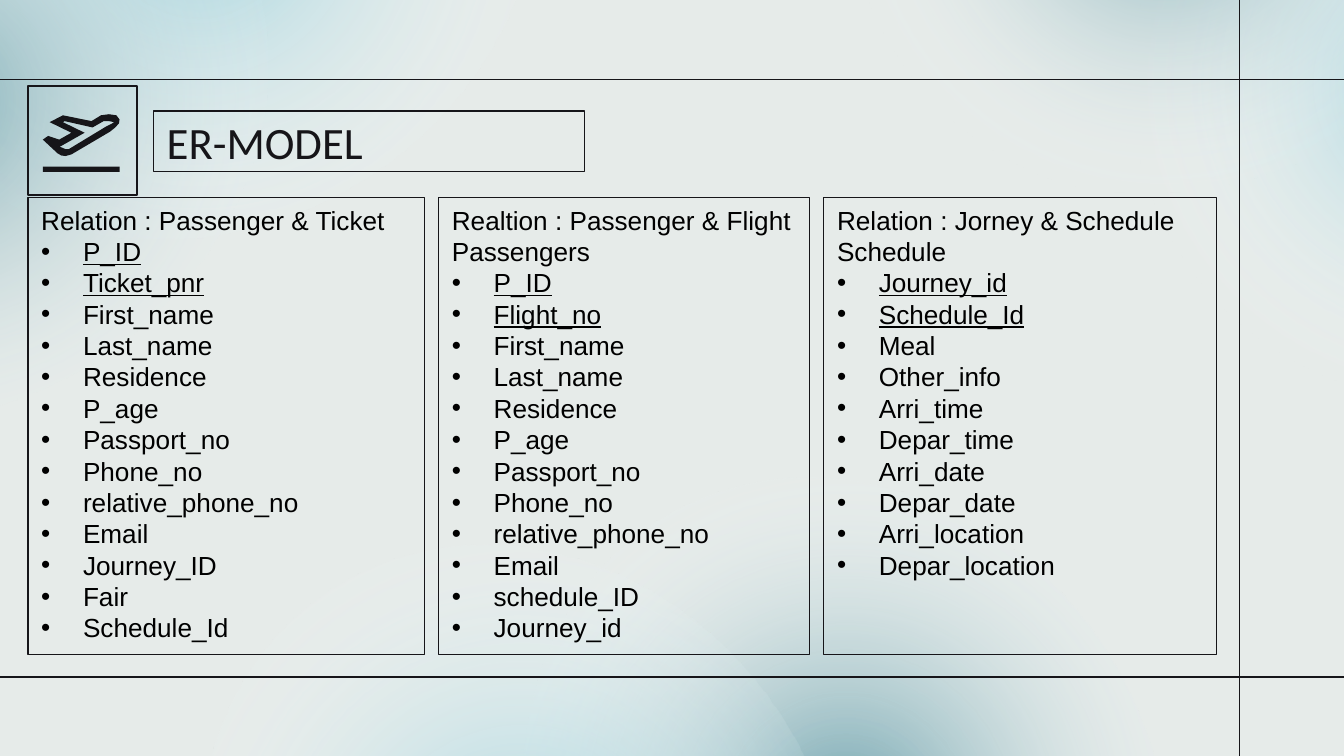
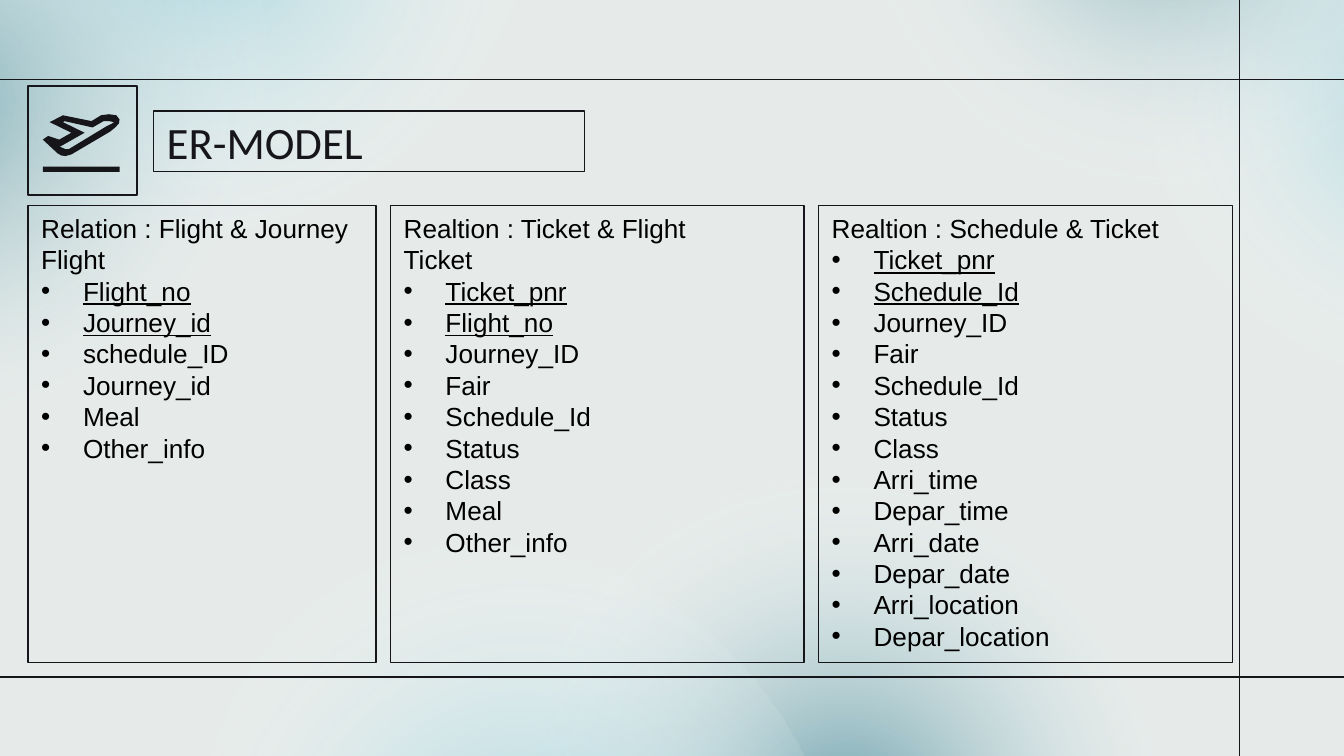
from lxml import etree
from pptx import Presentation, util as u
from pptx.dml.color import RGBColor
from pptx.enum import shapes, text
from pptx.oxml import parse_xml
from pptx.oxml.ns import nsdecls, qn

COLORS = {"paper": "E6EBE9", "ink": "161519", "text": "000000",
          "teal": "4E909E", "sky": "80C8D8", "clear": "FFFFFF"}

TITLE = "ER-MODEL"
PERSON = ["First_name", "Last_name", "Residence", "P_age", "Passport_no",
          "Phone_no", "relative_phone_no", "Email"]
TICKET = ["Journey_ID", "Fair", "Schedule_Id"]
STATUS = ["Status", "Class"]
EXTRAS = ["Meal", "Other_info"]
TIMES = ["Arri_time", "Depar_time", "Arri_date", "Depar_date",
         "Arri_location", "Depar_location"]

# Each relation: width in cm, heading lines, key fields, other fields
SLIDES = [
    {"top": 3.73, "relations": [
        (7.49, ["Relation : Passenger & Ticket"],
         ["P_ID", "Ticket_pnr"], PERSON + TICKET),
        (7.01, ["Realtion : Passenger & Flight", "Passengers"],
         ["P_ID", "Flight_no"], PERSON + ["schedule_ID", "Journey_id"]),
        (7.42, ["Relation : Jorney & Schedule", "Schedule"],
         ["Journey_id", "Schedule_Id"], EXTRAS + TIMES),
    ]},
    {"top": 3.89, "relations": [
        (6.58, ["Relation : Flight & Journey", "Flight"],
         ["Flight_no", "Journey_id"], ["schedule_ID", "Journey_id"] + EXTRAS),
        (7.82, ["Realtion : Ticket & Flight", "Ticket"],
         ["Ticket_pnr", "Flight_no"], TICKET + STATUS + EXTRAS),
        (7.82, ["Realtion : Schedule & Ticket"],
         ["Ticket_pnr", "Schedule_Id"], TICKET + STATUS + TIMES),
    ]},
]
LEFT, GAP, BOX_HEIGHT, INDENT = 0.53, 0.27, 8.64, 0.79

# Background glows: left, top, rotation, colour, opacity in percent
GLOW_SIZE = (13.26, 11.68)
GLOWS = [
    (9.35, 9.6, 237.1, "teal", 81), (3.23, 10.87, 237.1, "sky", 68),
    (20.75, -4.27, 348.6, "sky", 68), (15.37, -8.08, 348.6, "teal", 68),
    (-2.9, -7.39, 149, "sky", 68), (-8.0, -3.94, 149, "teal", 68),
]
RULES = [(23.42, 15.88, 23.42, -0.81), (25.55, 1.5, -0.15, 1.5),
         (25.55, 12.8, -0.13, 12.8)]

# Take-off icon, in hundredths of a centimetre
ICON_FRAME = (0.53, 1.63, 2.06, 2.06)
PLANE = [(206, 216), (191, 218), (173, 229), (119, 218), (94, 231), (135, 251),
         (112, 264), (91, 257), (81, 264), (109, 290), (116, 294), (124, 295),
         (135, 292), (208, 249), (218, 241), (225, 233), (226, 226), (220, 218)]
CABIN = [(206, 229), (216, 231), (211, 234), (201, 239), (130, 282), (124, 282),
         (117, 279), (112, 277), (114, 277), (160, 251), (119, 231), (122, 229),
         (175, 241), (196, 229)]
RUNWAY = [(81, 315), (81, 325), (226, 325), (226, 315)]


def rgb(name):
    return RGBColor.from_string(COLORS[name])


def cm(*values):
    return [u.Cm(v) for v in values]


def outline(sp):
    sp.line.color.rgb = rgb("ink")
    sp.line.width = u.Pt(0.75)


def style(r, color, **fmt):
    for name, value in fmt.items():
        setattr(r.font, name, value)
    r.font.color.rgb = rgb(color)


def glow_fill(sp, color, opacity):
    """Fill with a radial gradient that fades to clear."""
    stops = [(0, color, opacity), (58, "clear", 0), (100, "clear", 0)]
    xml = "".join(
        f'<a:gs pos="{pos * 1000}"><a:srgbClr val="{COLORS[c]}">'
        f'<a:alpha val="{alpha * 1000}"/></a:srgbClr></a:gs>'
        for pos, c, alpha in stops)
    sp.fill.background()
    spPr = sp.element.spPr
    spPr.replace(spPr.find(qn("a:noFill")), parse_xml(
        f'<a:gradFill {nsdecls("a")} rotWithShape="1"><a:gsLst>{xml}</a:gsLst>'
        '<a:path path="circle"><a:fillToRect l="50000" t="50000" r="50000" '
        'b="50000"/></a:path></a:gradFill>'))


def decorate_layout(layout, s):
    """Draw the shared background on a slide and move it to the layout."""
    layout.background.fill.solid()
    layout.background.fill.fore_color.rgb = rgb("paper")
    parts = []
    for left, top, rotation, color, opacity in GLOWS:
        sp = s.shapes.add_shape(shapes.MSO_SHAPE.OVAL,
                                *cm(left, top, *GLOW_SIZE))
        sp.rotation = rotation
        sp.shadow.inherit = False
        sp.line.fill.background()
        glow_fill(sp, color, opacity)
        parts.append(sp)
    for ends in RULES:
        line = s.shapes.add_connector(shapes.MSO_CONNECTOR.STRAIGHT, *cm(*ends))
        outline(line)
        etree.SubElement(line.element.spPr, qn("a:effectLst"))
        parts.append(line)
    tree = layout.shapes.element
    for sp in parts:
        tree.append(sp.element)
    for number, el in enumerate(tree.iter(qn("p:cNvPr")), 1):
        el.set("id", str(number))


def add_title(s):
    sp = s.shapes.title
    sp.left, sp.top, sp.width, sp.height = cm(2.9, 2.1, 8.15, 1.14)
    outline(sp)
    tf = sp.text_frame
    tf.text = TITLE
    fmt = {"vertical_anchor": text.MSO_ANCHOR.MIDDLE,
           "auto_size": text.MSO_AUTO_SIZE.NONE}
    fmt.update({f"margin_{side}": u.Cm(0.25)
                for side in ("left", "top", "right", "bottom")})
    for name, value in fmt.items():
        setattr(tf, name, value)
    p = tf.paragraphs[0]
    p.alignment = text.PP_ALIGN.LEFT
    style(p.runs[0], "ink", size=u.Pt(24), name="Calibri")


def add_icon(s):
    group = s.shapes.add_group_shape()
    frame = group.shapes.add_shape(shapes.MSO_SHAPE.RECTANGLE, *cm(*ICON_FRAME))
    frame.fill.background()
    frame.shadow.inherit = False
    outline(frame)
    fb = group.shapes.build_freeform(*PLANE[0], scale=u.Cm(0.01))
    fb.add_line_segments(PLANE[1:])
    for contour in (CABIN, RUNWAY):
        fb.move_to(*contour[0])
        fb.add_line_segments(contour[1:])
    icon = fb.convert_to_shape()
    icon.shadow.inherit = False
    icon.fill.solid()
    icon.fill.fore_color.rgb = rgb("ink")
    icon.line.fill.background()


def add_bullet(p):
    pPr = p._p.get_or_add_pPr()
    pPr.set("marL", str(u.Cm(INDENT)))
    pPr.set("indent", str(-u.Cm(INDENT)))
    color = etree.SubElement(pPr, qn("a:buClr"))
    etree.SubElement(color, qn("a:srgbClr"), val=COLORS["text"])
    etree.SubElement(pPr, qn("a:buFont"), typeface="Arial")
    etree.SubElement(pPr, qn("a:buChar"), char="•")


def add_relation(s, left, top, width, heading, keys, fields):
    sp = s.shapes.add_textbox(*cm(left, top, width, BOX_HEIGHT))
    outline(sp)
    tf = sp.text_frame
    tf.word_wrap = True
    tf.text = "\n".join(heading + keys + fields)
    for i, p in enumerate(tf.paragraphs, -len(heading)):
        style(p.runs[0], "text", size=u.Pt(14), name="Arial",
              underline=0 <= i < len(keys))
        if i >= 0:
            add_bullet(p)


def main():
    prs = Presentation()
    prs.slide_width, prs.slide_height = cm(25.4, 14.29)
    layout = prs.slide_layouts[5]
    for i, content in enumerate(SLIDES):
        s = prs.slides.add_slide(layout)
        if i == 0:
            decorate_layout(layout, s)
        add_title(s)
        add_icon(s)
        left = LEFT
        for width, *lines in content["relations"]:
            add_relation(s, left, content["top"], width, *lines)
            left += width + GAP
    prs.save("out.pptx")


if __name__ == "__main__":
    main()
